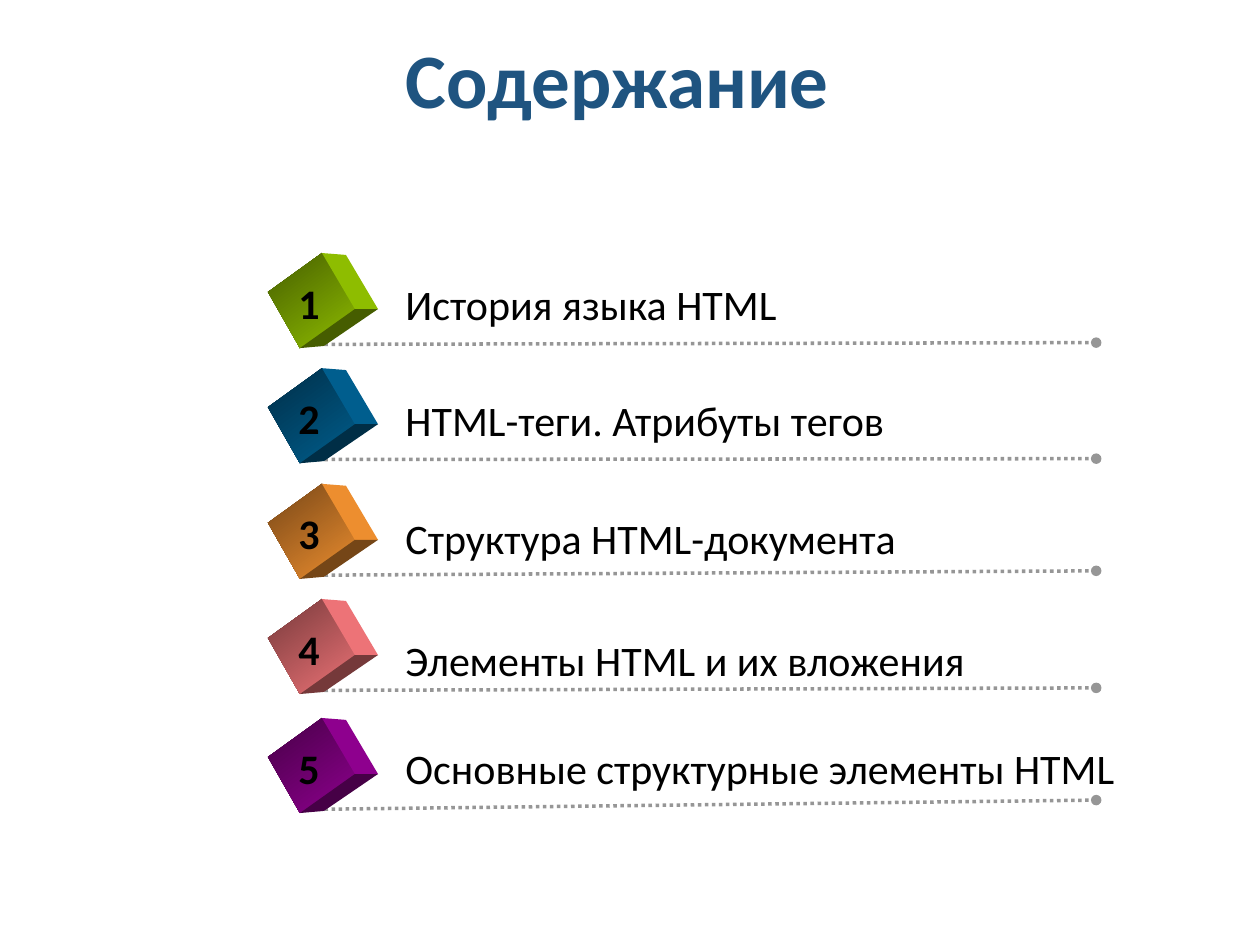
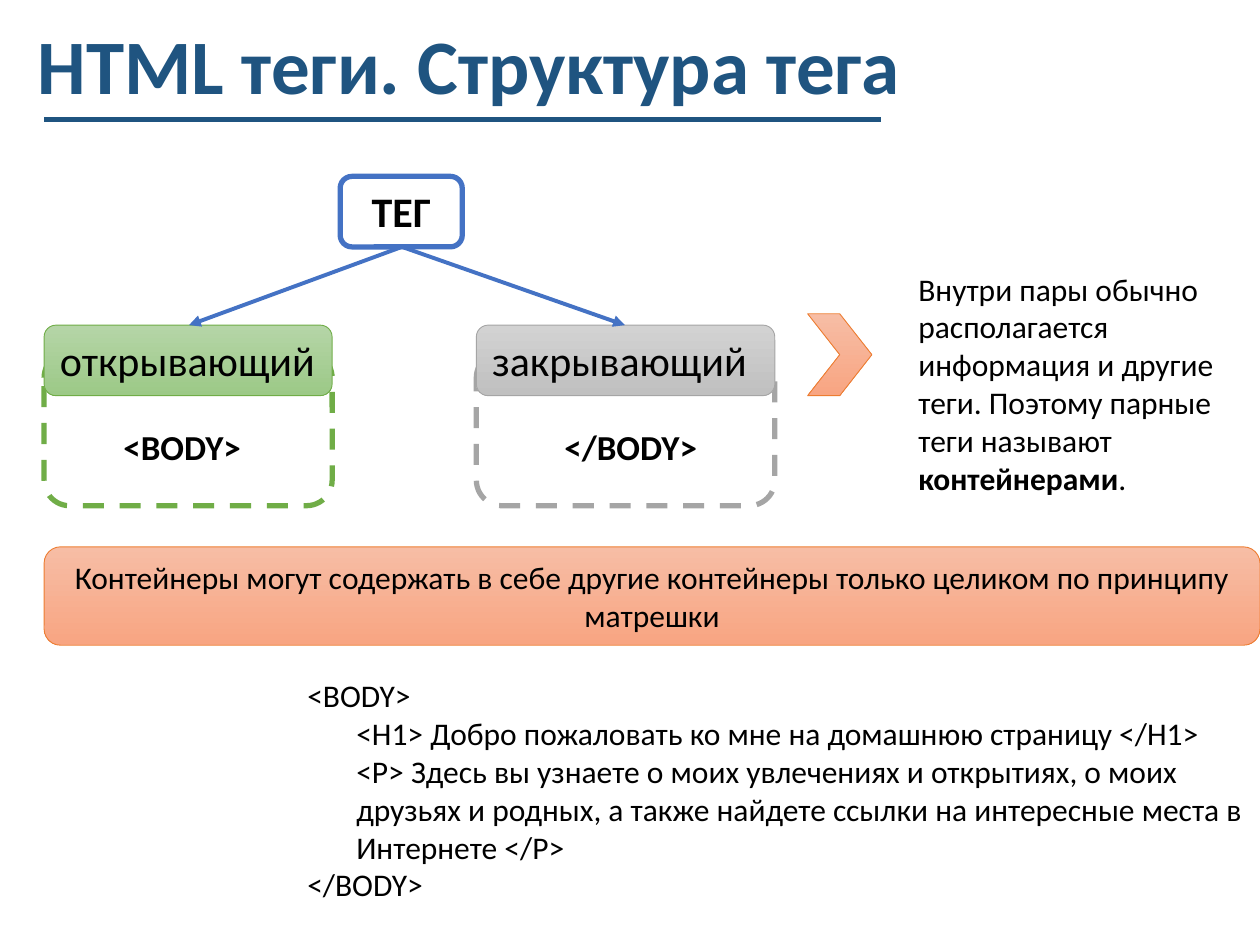
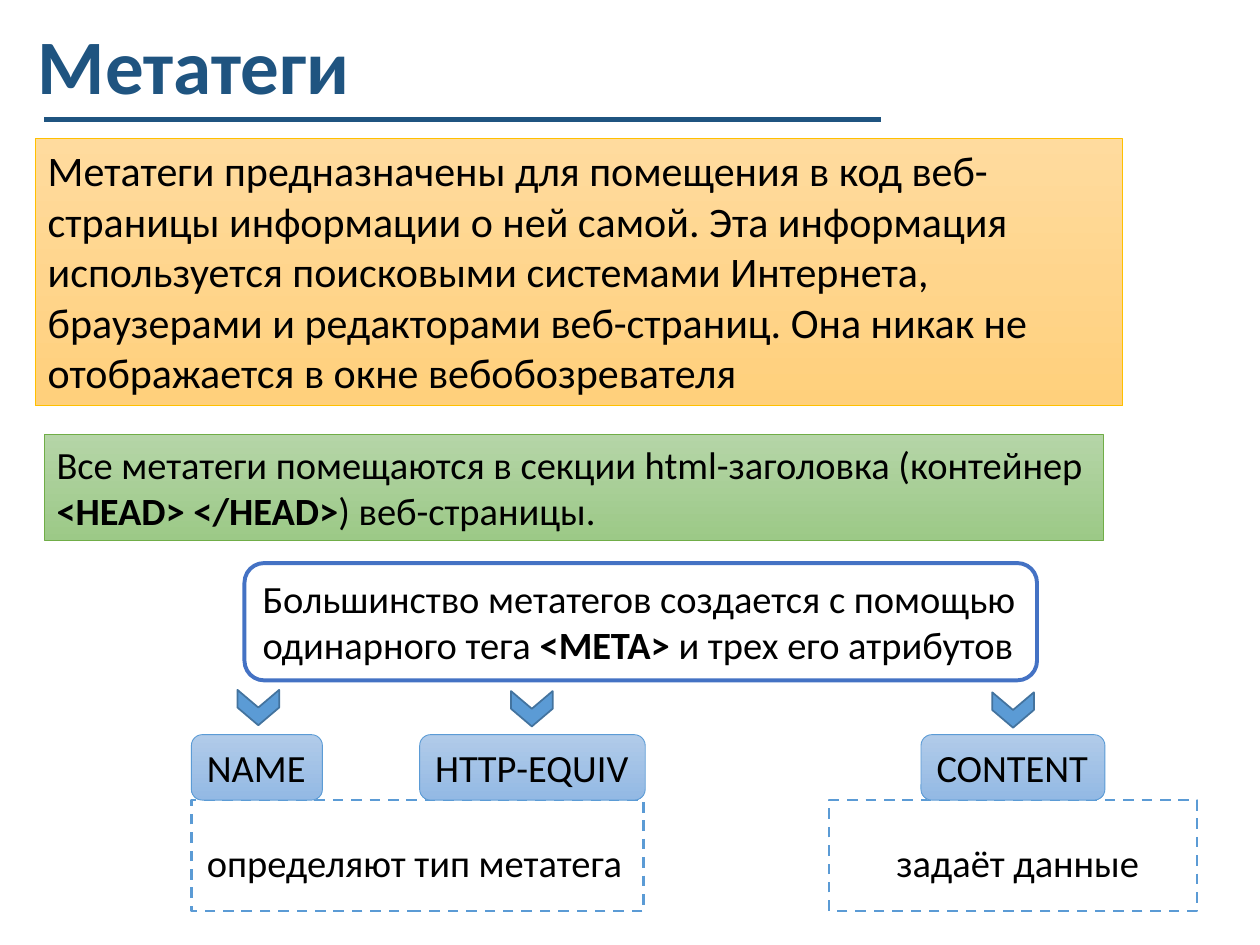
"""Build three slides of an HTML lesson: contents, tag structure and meta tags."""
import lxml.etree
import pptx
import pptx.dml.color
import pptx.enum.dml
import pptx.enum.shapes
import pptx.enum.text
import pptx.oxml.ns
import pptx.util

Pt = pptx.util.Pt
RGBColor = pptx.dml.color.RGBColor
SHAPE = pptx.enum.shapes.MSO_SHAPE
DASH = pptx.enum.dml.MSO_LINE.DASH
DOTS = pptx.enum.dml.MSO_LINE.ROUND_DOT
LEFT = pptx.enum.text.PP_ALIGN.LEFT
CENTER = pptx.enum.text.PP_ALIGN.CENTER

FONT = "Calibri"
BLACK = RGBColor(0x00, 0x00, 0x00)
WHITE = RGBColor(0xFF, 0xFF, 0xFF)
NAVY = RGBColor(0x1F, 0x54, 0x80)
BLUE = RGBColor(0x44, 0x72, 0xC4)
SKY = RGBColor(0x5B, 0x9B, 0xD5)
SKY_EDGE = RGBColor(0x43, 0x73, 0x9E)
GREEN = RGBColor(0x70, 0xAD, 0x47)
GRAY = RGBColor(0xA5, 0xA5, 0xA5)
DOT_GRAY = RGBColor(0x96, 0x96, 0x96)
ORANGE = RGBColor(0xED, 0x7D, 0x31)
GOLD = RGBColor(0xFF, 0xC0, 0x00)
GREEN_BLEND = [RGBColor(0xB5, 0xD5, 0xA7), RGBColor(0x9C, 0xC9, 0x87)]
GRAY_BLEND = [RGBColor(0xD2, 0xD2, 0xD2), RGBColor(0xC0, 0xC0, 0xC0)]
ORANGE_BLEND = [RGBColor(0xF7, 0xBD, 0xA5), RGBColor(0xF8, 0xA5, 0x82)]
GOLD_BLEND = [RGBColor(0xFF, 0xDB, 0x9E), RGBColor(0xFF, 0xD0, 0x7C)]
SKY_BLEND = [RGBColor(0xB1, 0xCB, 0xE9), RGBColor(0x93, 0xB9, 0xE4)]


def add_box(slide, preset, box, fill=None, line=None, line_width=0.5, dash=None,
            text="", size=24, bold=False, align=LEFT, wrap=True):
    """Add a shape, or a text box if preset is None; ** marks bold words, a list fill blends."""
    frame = [Pt(length) for length in box]
    if preset is None:
        shape = slide.shapes.add_textbox(*frame)
    else:
        shape = slide.shapes.add_shape(preset, *frame)
        shape.shadow.inherit = False
    if isinstance(fill, list):
        shape.fill.gradient()
        shape.fill.gradient_angle = 270
        for stop, color in zip(shape.fill.gradient_stops, fill):
            stop.color.rgb = color
    elif fill is not None:
        shape.fill.solid()
        shape.fill.fore_color.rgb = fill
    else:
        shape.fill.background()
    if line is None:
        shape.line.fill.background()
    else:
        shape.line.color.rgb = line
        shape.line.width = Pt(line_width)
        shape.line.dash_style = dash
    if text:
        text_frame = shape.text_frame
        text_frame.word_wrap = wrap
        text_frame.vertical_anchor = pptx.enum.text.MSO_ANCHOR.TOP
        text_frame.text = text.replace("**", "")
        for paragraph, words in zip(text_frame.paragraphs, text.split("\n")):
            paragraph.alignment = align
            paragraph.font.name = FONT
            paragraph.font.size = Pt(size)
            paragraph.font.bold = bold
            paragraph.font.color.rgb = BLACK
            if "**" in words:
                paragraph.clear()
                for index, part in enumerate(words.split("**")):
                    run = paragraph.add_run()
                    run.text = part
                    run.font.bold = index % 2 == 1
    return shape


def add_line(slide, start, end, color, width, dash=None, tail=None):
    """Add a straight line with an optional end mark."""
    connector = slide.shapes.add_connector(
        pptx.enum.shapes.MSO_CONNECTOR.STRAIGHT, *[Pt(length) for length in start + end])
    connector.line.color.rgb = color
    connector.line.width = Pt(width)
    connector.line.dash_style = dash
    if tail:
        tail_end = lxml.etree.SubElement(connector.line._get_or_add_ln(), pptx.oxml.ns.qn("a:tailEnd"))
        tail_end.set("type", tail)
    lxml.etree.SubElement(connector._element.spPr, pptx.oxml.ns.qn("a:effectLst"))


presentation = pptx.Presentation()
presentation.slide_width = Pt(720)
presentation.slide_height = Pt(540)

CONTENTS_TITLE = (224.6, 12.2, 495.4, 70.6)
TOPIC_TITLE = (14.4, -12.2, 620.6, 104.4)
for title_text, title_box in [("Содержание", CONTENTS_TITLE),
                              ("HTML теги. Структура тега", TOPIC_TITLE),
                              ("Метатеги", TOPIC_TITLE)]:
    slide = presentation.slides.add_slide(presentation.slide_layouts[5])
    title = slide.shapes.title
    title.left, title.top, title.width, title.height = [Pt(length) for length in title_box]
    title.text_frame.text = title_text
    title.text_frame.vertical_anchor = pptx.enum.text.MSO_ANCHOR.MIDDLE
    title.text_frame.auto_size = pptx.enum.text.MSO_AUTO_SIZE.NONE
    paragraph = title.text_frame.paragraphs[0]
    paragraph.alignment = LEFT
    paragraph.line_spacing = 0.9
    paragraph.font.name = FONT
    paragraph.font.size = Pt(44)
    paragraph.font.bold = True
    paragraph.font.color.rgb = NAVY
    if title_box == TOPIC_TITLE:
        add_line(slide, (25.2, 68.4), (503.3, 68.4), NAVY, 3)
contents, tags, meta = presentation.slides

CUBE_LEFT = 153.1
FRONT = [(0, 22.3), (30.9, 0), (49.7, 32), (18.3, 54.3)]
SIDE = [(30.9, 0), (44.6, 1.1), (62.9, 32), (49.7, 32)]
BASE = [(18.3, 54.3), (49.7, 32), (62.9, 32), (32, 53.1)]
chapters = [
    ("История языка HTML", RGBColor(0x99, 0xCC, 0x00), 144.6, 155.5, 195.8),
    ("HTML-теги. Атрибуты тегов", RGBColor(0x00, 0x66, 0x99), 210.4, 221.8, 262.1),
    ("Структура HTML-документа", RGBColor(0xFF, 0x99, 0x33), 276.5, 289.4, 326.2),
    ("Элементы HTML и их вложения", RGBColor(0xFF, 0x7C, 0x80), 342.3, 359.3, 393.1),
    ("Основные структурные элементы HTML", RGBColor(0x99, 0x00, 0x99), 410.3, 420.5, 457.2),
]
for number, (chapter, color, cube_top, label_top, line_end) in enumerate(chapters, 1):
    add_line(contents, (181.4, cube_top + 52.2), (626.4, line_end), DOT_GRAY, 2, DOTS, "oval")
    bright = RGBColor(*[int(channel * 0.93) for channel in color])
    dark = RGBColor(*[int(channel * 0.46) for channel in color])
    for outline, face_color in [(FRONT, None), (SIDE, bright), (BASE, dark)]:
        points = [(Pt(CUBE_LEFT + x), Pt(cube_top + y)) for x, y in outline]
        builder = contents.shapes.build_freeform(*points[0])
        builder.add_line_segments(points[1:])
        face = builder.convert_to_shape()
        face.shadow.inherit = False
        face.line.fill.background()
        if face_color is None:
            face.fill.gradient()
            face.fill.gradient_angle = 306
            for stop, stop_color in zip(face.fill.gradient_stops, (dark, bright)):
                stop.color.rgb = stop_color
        else:
            face.fill.solid()
            face.fill.fore_color.rgb = face_color
    add_box(contents, None, (163.4, cube_top + 10.2, 26.6, 36.7), text=str(number), bold=True, wrap=False)
    add_box(contents, None, (224.6, label_top, 430, 36.7), text=chapter)

tag_kinds = [
    ("открывающий", "<BODY>", 25.2, 164.6, GREEN, GREEN_BLEND, 63.4, 87.1, 108),
    ("закрывающий", "</BODY>", 272.2, 170.6, GRAY, GRAY_BLEND, 315.4, 91.4, 357.1),
]
for kind, code, left, width, color, blend, code_left, code_width, arrow_end in tag_kinds:
    add_box(tags, SHAPE.ROUNDED_RECTANGLE, (left, 201.2, width, 87.8), WHITE, color, 3, DASH)
    add_box(tags, SHAPE.ROUNDED_RECTANGLE, (left, 185.8, width, 40.3), blend, color,
            text=kind, wrap=False)
    add_box(tags, None, (code_left, 239.4, code_width, 31.7), text=code, size=20, bold=True, wrap=False)
    add_line(tags, (229.7, 141.1), (arrow_end, 185.8), BLUE, 2.25, tail="triangle")
add_box(tags, SHAPE.ROUNDED_RECTANGLE, (194.4, 100.8, 69.8, 40.3), WHITE, BLUE, 3,
        text="ТЕГ", bold=True, align=CENTER)
add_box(tags, None, (517.7, 150.5, 188.6, 138.2), size=18,
        text="Внутри пары обычно располагается информация и другие теги. "
             "Поэтому парные теги называют **контейнерами**.")
add_box(tags, SHAPE.CHEVRON, (461.5, 179.3, 36.7, 46.8), ORANGE_BLEND, ORANGE)
add_box(tags, SHAPE.ROUNDED_RECTANGLE, (25.2, 312.5, 694.8, 56.2), ORANGE_BLEND, ORANGE,
        text="Контейнеры могут содержать в себе другие контейнеры только целиком по принципу матрешки",
        size=18, align=CENTER)
sample = add_box(tags, None, (168.5, 383, 569.5, 138.2), size=18, text="\n".join([
    "<BODY>",
    "<H1> Добро пожаловать ко мне на домашнюю страницу </H1>",
    "<P> Здесь вы узнаете о моих увлечениях и открытиях, о моих друзьях и родных, "
    "а также найдете ссылки на интересные места в Интернете </P>",
    "</BODY>",
]))
for paragraph in sample.text_frame.paragraphs[1:3]:
    paragraph._p.get_or_add_pPr().set("marL", str(Pt(28)))

add_box(meta, SHAPE.RECTANGLE, (20.2, 79.2, 621.4, 152.6), GOLD_BLEND, GOLD,
        text="Метатеги предназначены для помещения в код веб-страницы информации о ней самой. "
             "Эта информация используется поисковыми системами Интернета,\n"
             "браузерами и редакторами веб-страниц. Она никак не отображается в окне вебобозревателя")
add_box(meta, SHAPE.RECTANGLE, (25.2, 248.4, 605.5, 60.5), GREEN_BLEND, GREEN, size=22,
        text="Все метатеги помещаются в секции html-заголовка "
             "(контейнер **<HEAD> </HEAD>**) веб-страницы.")
add_box(meta, SHAPE.ROUNDED_RECTANGLE, (139.7, 321.8, 452.9, 67), WHITE, BLUE, 2.25, size=22,
        text="Большинство метатегов создается с помощью одинарного тега "
             "**<МЕТА> **и трех его атрибутов")
for left, width, role, role_left, role_width in [
        (109.4, 258.5, "определяют тип метатега", 109.4, 261.4),
        (473.8, 210.2, "задаёт данные", 503.3, 157.7)]:
    add_box(meta, SHAPE.RECTANGLE, (left, 457.2, width, 63.4), WHITE, SKY, 1.5, DASH)
    add_box(meta, SHAPE.ROUNDED_RECTANGLE, (role_left, 473.8, role_width, 37.4),
            text=role, size=22, wrap=False)
for attribute, left, width, chevron_left, chevron_top in [
        ("NAME", 109.4, 74.9, 137.5, 392.4),
        ("НТТР-EQUIV", 239.8, 128.9, 293.8, 393.1),
        ("CONTENT", 526.3, 105.1, 568.8, 393.8)]:
    add_box(meta, SHAPE.ROUNDED_RECTANGLE, (left, 419.8, width, 37.4), SKY_BLEND, SKY,
            text=attribute, size=22, wrap=False)
    chevron = add_box(meta, SHAPE.CHEVRON, (chevron_left, chevron_top, 20.2, 23.8), SKY, SKY_EDGE, 1)
    chevron.rotation = 90

presentation.save("out.pptx")
